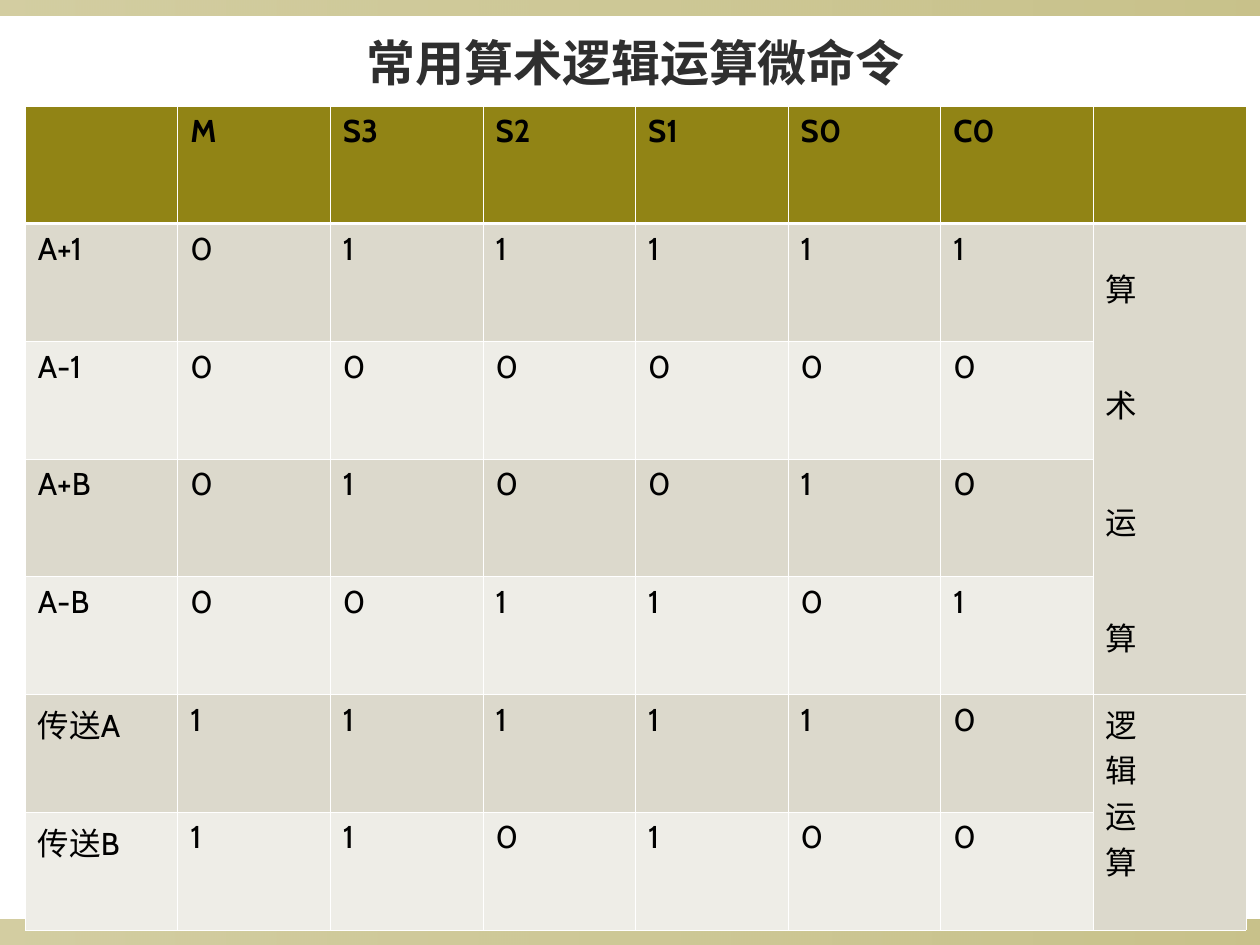
from lxml.etree import SubElement
from pptx import Presentation
from pptx.dml.color import RGBColor
from pptx.enum.shapes import MSO_SHAPE
from pptx.enum.text import MSO_ANCHOR, PP_ALIGN
from pptx.oxml.ns import qn
from pptx.util import Inches, Pt

OLIVE = RGBColor(0x91, 0x84, 0x15)
DARK_BAND = RGBColor(0xDC, 0xD9, 0xCC)
LIGHT_BAND = RGBColor(0xEE, 0xED, 0xE7)
CHARCOAL = RGBColor(0x2F, 0x2F, 0x2F)
BLACK = RGBColor(0, 0, 0)
WHITE = RGBColor(0xFF, 0xFF, 0xFF)
FONT = "Cabin"
THIN, THICK = Pt(0.45), Pt(1.47)

ROWS = [
    ["", "M", "S3", "S2", "S1", "S0", "C0", ""],
    ["A+1", "0", "1", "1", "1", "1", "1", "算\n术\n运\n算"],
    ["A-1", "0", "0", "0", "0", "0", "0", ""],
    ["A+B", "0", "1", "0", "0", "1", "0", ""],
    ["A-B", "0", "0", "1", "1", "0", "1", ""],
    ["传送A", "1", "1", "1", "1", "1", "0", "逻\n辑\n运\n算"],
    ["传送B", "1", "1", "0", "1", "0", "0", ""],
]


def format_text(text_frame, size, color, bold):
    for paragraph in text_frame.paragraphs:
        for run in paragraph.runs:
            run.font.name = FONT
            run.font.size = Pt(size)
            run.font.color.rgb = color
            run.font.bold = bold


def add_border(cell, side, width):
    line = SubElement(cell._tc.get_or_add_tcPr(), qn(f"a:ln{side}"), w=str(width))
    fill = SubElement(line, qn("a:solidFill"))
    SubElement(fill, qn("a:srgbClr"), val=str(WHITE))


presentation = Presentation()
presentation.slide_width = Inches(10)
presentation.slide_height = Inches(7.5)
slide = presentation.slides.add_slide(presentation.slide_layouts[5])

# Title
title = slide.shapes.title
title.left, title.top = Inches(0.2), Inches(0.21)
title.width, title.height = Inches(9.69), Inches(7.17)
title.text_frame.text = "常用算术逻辑运算微命令"
title.text_frame.vertical_anchor = MSO_ANCHOR.TOP
title.text_frame.paragraphs[0].alignment = PP_ALIGN.CENTER
format_text(title.text_frame, 28, CHARCOAL, True)

# Translucent bars along the top and bottom edges
for top, height in ((7.3, 0.2), (0, 0.12)):
    bar = slide.shapes.add_shape(
        MSO_SHAPE.RECTANGLE, 0, Inches(top), Inches(10), Inches(height))
    bar.shadow.inherit = False
    bar.line.fill.background()
    bar.fill.gradient()
    bar.fill.gradient_angle = 0
    for stop in bar.fill.gradient_stops:
        stop.color.rgb = OLIVE
    stop_colors = bar._element.spPr.iter(qn("a:srgbClr"))
    for stop_color, opacity in zip(stop_colors, (40000, 50000)):
        SubElement(stop_color, qn("a:alpha"), val=str(opacity))

# Table of micro-commands
table = slide.shapes.add_table(
    len(ROWS), len(ROWS[0]),
    Inches(0.2), Inches(0.84), Inches(9.69), Inches(6.54)).table

for row_index, row in enumerate(ROWS):
    for column_index, text in enumerate(row):
        cell = table.cell(row_index, column_index)
        cell.text_frame.text = text
        format_text(cell.text_frame, 18, BLACK, row_index == 0)
        for side in "LR":
            add_border(cell, side, THIN)
        add_border(cell, "T", THICK if row_index == 1 else THIN)
        add_border(cell, "B", THICK if row_index == 0 else THIN)
        cell.fill.solid()
        if row_index == 0:
            cell.fill.fore_color.rgb = OLIVE
        else:
            cell.fill.fore_color.rgb = DARK_BAND if row_index % 2 else LIGHT_BAND

# Group labels in the last column
arithmetic_cell = table.cell(1, 7)
arithmetic_cell.merge(table.cell(4, 7))
table.cell(5, 7).merge(table.cell(6, 7))
arithmetic_cell.margin_top = Inches(0.33)
for paragraph in arithmetic_cell.text_frame.paragraphs[1:]:
    paragraph.space_before = Pt(40.4)

presentation.save("out.pptx")
